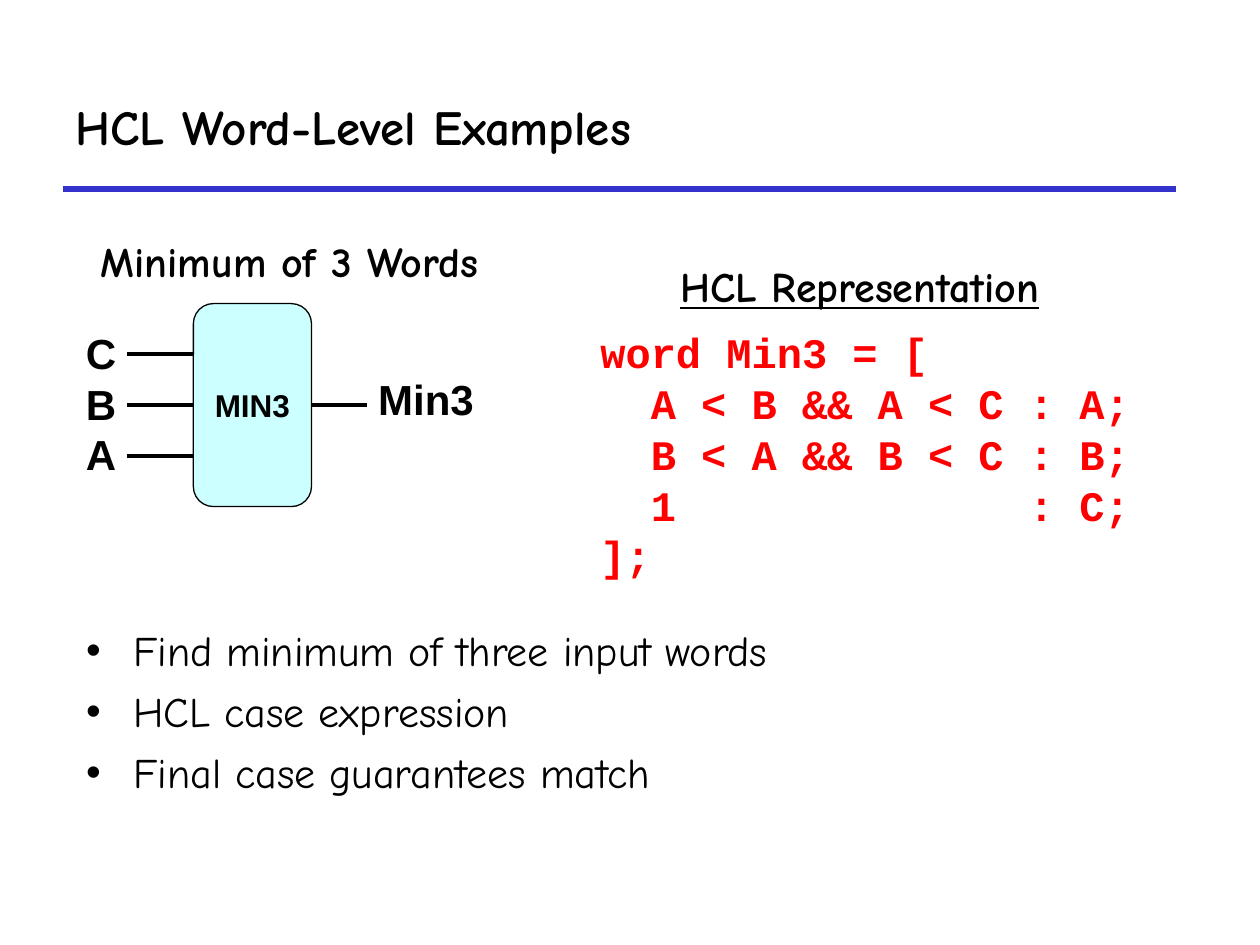
"""Build the slide on HCL word-level examples."""
from lxml import etree
from pptx import Presentation
from pptx.dml.color import RGBColor
from pptx.enum.shapes import MSO_CONNECTOR, MSO_SHAPE
from pptx.enum.text import MSO_ANCHOR, MSO_AUTO_SIZE, PP_ALIGN
from pptx.oxml.ns import qn
from pptx.util import Pt

LINE = MSO_CONNECTOR.STRAIGHT
ROUND = MSO_SHAPE.ROUNDED_RECTANGLE
MID, TOP = MSO_ANCHOR.MIDDLE, MSO_ANCHOR.TOP
LEFT, MIDDLE = PP_ALIGN.LEFT, PP_ALIGN.CENTER
FIXED = MSO_AUTO_SIZE.NONE
COLORS = {"ink": "000000", "rule": "3333CC", "code": "FF0000", "box": "CCFFFF"}


def write(shape, lines, face, size=24, color="ink", bold=True, anchor=TOP, align=LEFT, gap=0, wrap=False):
    frame = shape.text_frame
    frame.text = "\n".join(lines)
    frame.auto_size = FIXED
    frame.word_wrap = wrap
    frame.vertical_anchor = anchor
    for row, para in enumerate(frame.paragraphs):
        para.alignment = align
        para.space_before = Pt(gap if row else 0)
        font = para.font
        font.name, font.size, font.bold = face, Pt(size), bold
        font.color.rgb = RGBColor.from_string(COLORS[color])
    return frame


def wire(x1, y1, x2, y2, color="ink", width=2.25):
    line = slide.shapes.add_connector(LINE, Pt(x1), Pt(y1), Pt(x2), Pt(y2))
    line.line.color.rgb = RGBColor.from_string(COLORS[color])
    line.line.width = Pt(width)
    etree.SubElement(line._element.spPr, qn("a:effectLst"))
    return line


deck = Presentation()
deck.slide_width, deck.slide_height = Pt(720), Pt(540)
slide = deck.slides.add_slide(deck.slide_layouts[1])
shapes = slide.shapes
wire(36, 108, 672, 108, "rule", 3)

title = shapes.title
title.left, title.top, title.width, title.height = Pt(36), Pt(36), Pt(636), Pt(72)
write(title, ["HCL Word-Level Examples"], "Comic Neue", 28, anchor=MID, wrap=True)

body = slide.placeholders[1]
body.left, body.top, body.width, body.height = Pt(42), Pt(353.5), Pt(618), Pt(132.5)
points = ["Find minimum of three input words", "HCL case expression", "Final case guarantees match"]
body.text_frame.text = "\n".join(points)
frame = write(body, points, "Comic Neue", bold=False, gap=6, wrap=True)
for para in frame.paragraphs:
    props = para._p.get_or_add_pPr()
    props.set("marL", str(Pt(27)))
    props.set("indent", str(Pt(-27)))

box = shapes.add_shape(ROUND, Pt(110.5), Pt(173.5), Pt(67.5), Pt(116))
box.adjustments[0] = 0.17
box.shadow.inherit = False
box.fill.solid()
box.fill.fore_color.rgb = RGBColor.from_string(COLORS["box"])
box.line.color.rgb = RGBColor.from_string(COLORS["ink"])
box.line.width = Pt(0.75)
write(box, ["MIN3"], "Arial", 18, anchor=MID, align=MIDDLE)

for row, name in enumerate("CBA"):
    y = 202.5 + 29 * row
    lead = wire(72.5, y, 110.5, y)
    if name == "B":
        lead.end_connect(box, 1)
    label = shapes.add_textbox(Pt(42), Pt(y - 19), Pt(32), Pt(37))
    write(label, [name], "Arial")
wire(178, 231.5, 209.5, 231.5).begin_connect(box, 3)
label = shapes.add_textbox(Pt(209), Pt(210), Pt(70), Pt(37))
write(label, ["Min3"], "Arial")

code = [
    "word Min3 = [",
    "  A < B && A < C : A;",
    "  B < A && B < C : B;",
    "  1              : C;",
    "];",
]
block = shapes.add_textbox(Pt(336), Pt(183), Pt(354), Pt(152))
frame = write(block, code, "Courier New", color="code", wrap=True)
for para in frame.paragraphs:
    para.line_spacing = Pt(29)

for x, y, wide, text in [(54, 131, 225, "Minimum of 3 Words"), (385, 145.5, 214, "HCL Representation")]:
    head = shapes.add_textbox(Pt(x), Pt(y), Pt(wide), Pt(37))
    frame = write(head, [text], "Comic Neue")
    frame.margin_left = frame.margin_right = Pt(3.6)
frame.paragraphs[0].font.underline = True

deck.save("out.pptx")
